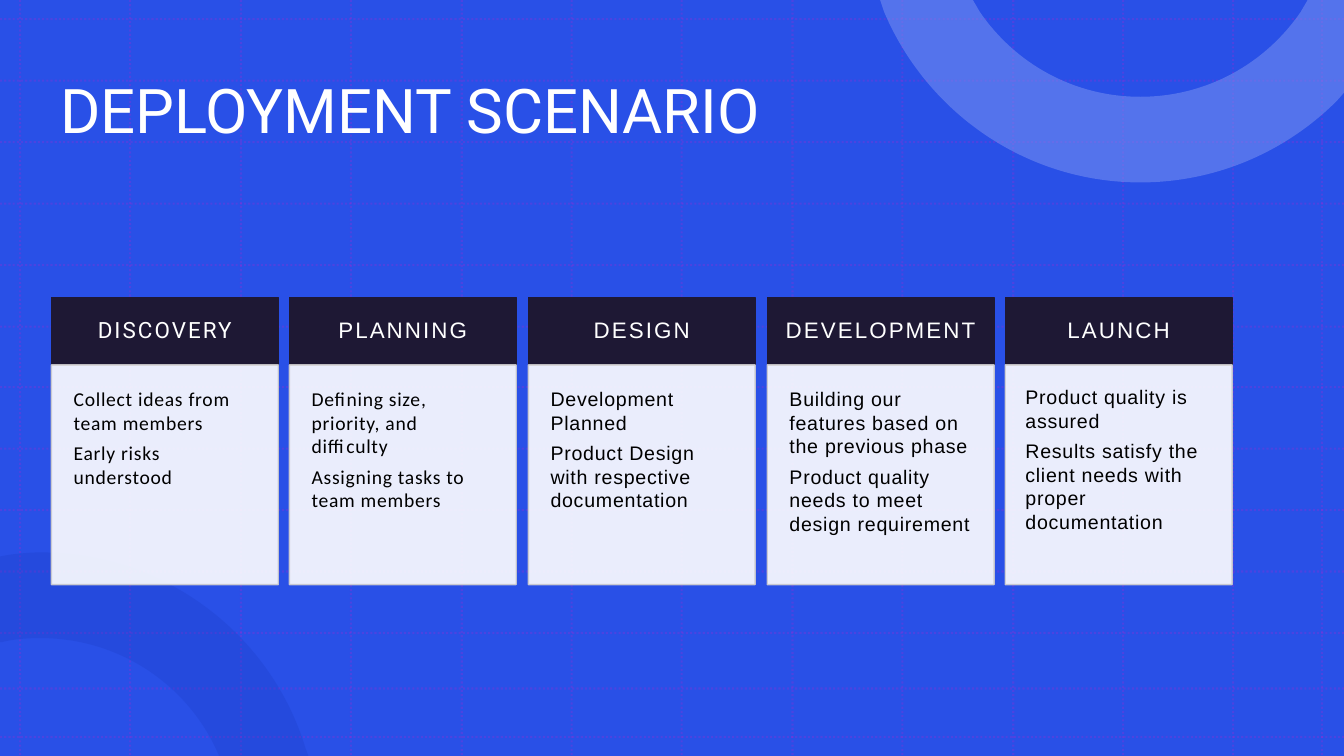
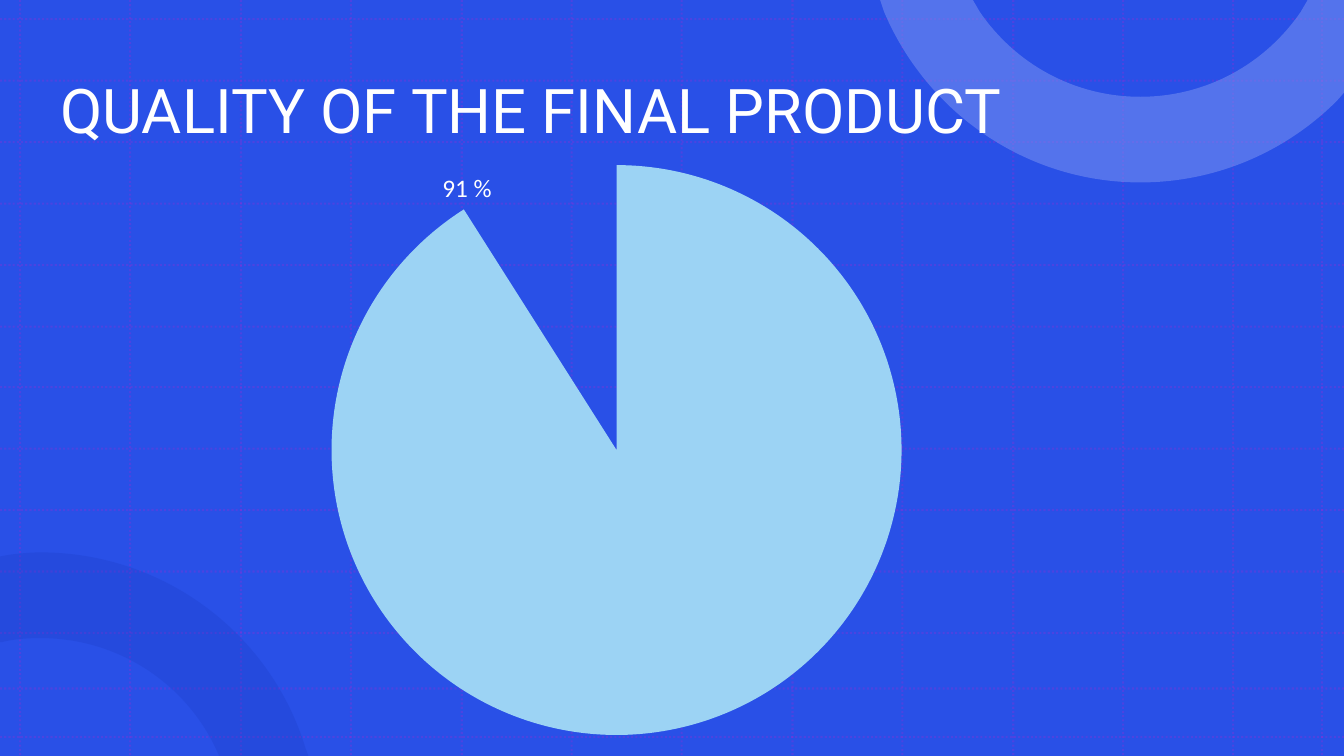
from dataclasses import dataclass
from typing import Any

from lxml.etree import SubElement
from pptx import Presentation
from pptx.chart.data import CategoryChartData
from pptx.dml.color import RGBColor
from pptx.enum.chart import XL_CHART_TYPE
from pptx.enum.dml import MSO_LINE
from pptx.enum.shapes import MSO_CONNECTOR, MSO_SHAPE
from pptx.enum.text import MSO_ANCHOR, MSO_AUTO_SIZE, PP_ALIGN
from pptx.oxml.ns import qn
from pptx.util import Emu, Pt

PX = 9144  # EMU per px, 100 px to the inch
WIDTH, HEIGHT = 1333, 750

COLORS = {
    "background": "2950E7",
    "grid": "D517CC",
    "dark_ring": "1536B7",
    "light_ring": "7F96F1",
    "header": "1E1834",
    "border": "CDCCCE",
    "white": "FFFFFF",
    "black": "000000",
    "pie": "9CD3F4",
}


@dataclass(frozen=True)
class TextStyle:
    font: str
    size: int
    color: str
    tracking: int = 0  # hundredths of a point


@dataclass(frozen=True)
class Ring:
    color: str
    opacity: int
    start: tuple[int, int]
    steps: tuple[tuple[int, ...], ...]  # two numbers: line, six: curve


@dataclass(frozen=True)
class Phase:
    name: str
    points: tuple[str, ...]
    header_font: str = "Arial"
    body_font: str = "Arial"
    inset: int = 22


TITLE = TextStyle("Roboto", 44, "white")
RINGS = (
    Ring("dark_ring", 20, (40, 548), (
        (164, 548, 269, 630, 303, 742), (306, 750), (217, 750), (217, 749),
        (188, 681, 120, 633, 40, 633), (27, 633, 14, 634, 2, 637),
        (0, 637), (0, 552), (12, 550), (21, 549, 31, 548, 40, 548))),
    Ring("light_ring", 50, (873, 0), (
        (965, 0), (972, 12), (1007, 63, 1065, 96, 1131, 96),
        (1197, 96, 1255, 63, 1290, 12), (1297, 0), (1333, 0), (1333, 92),
        (1326, 100), (1276, 150, 1207, 181, 1131, 181),
        (1017, 181, 919, 111, 877, 12))),
)
GRID_X = [round(20 + 109.4 * i) for i in range(12)] + [1311]
GRID_Y = [round(19 + 60.9 * i) for i in range(11)] + [683, 731]

PHASES = (
    Phase("DISCOVERY",
          ("Collect ideas from team members", "Early risks understood"),
          "Roboto", "Calibri"),
    Phase("PLANNING",
          ("Defining size, priority, and difficulty",
           "Assigning tasks to team members"),
          body_font="Calibri"),
    Phase("DESIGN",
          ("Development Planned",
           "Product Design with respective documentation")),
    Phase("DEVELOPMENT",
          ("Building our features based on the previous phase",
           "Product quality needs to meet design requirement")),
    Phase("LAUNCH",
          ("Product quality is assured",
           "Results satisfy the client needs with proper documentation"),
          inset=20),
)


def px(*lengths: int) -> list[Emu]:
    return [Emu(length * PX) for length in lengths]


def apply(target: Any, **values: Any) -> None:
    for name, value in values.items():
        setattr(target, name, value)


def paint(fill: Any, color: str, opacity: int = 100) -> None:
    """Give a solid fill, partly transparent below 100."""
    fill.solid()
    fill.fore_color.rgb = RGBColor.from_string(COLORS[color])
    if opacity < 100:
        color_element = fill._xPr.find(qn("a:solidFill"))[0]
        SubElement(color_element, qn("a:alpha"), val=str(opacity * 1000))


def write(shape: Any, lines: tuple[str, ...], style: TextStyle, inset: int = 10,
          anchor: Any = MSO_ANCHOR.TOP, **paragraph_format: Any) -> None:
    frame = shape.text_frame
    margin = px(inset)[0]
    apply(frame, word_wrap=True, vertical_anchor=anchor, margin_left=margin,
          margin_right=margin, margin_top=margin, margin_bottom=margin)
    for index, line in enumerate(lines):
        para = frame.add_paragraph() if index else frame.paragraphs[0]
        apply(para, **paragraph_format)
        span = para.add_run()
        span.text = line
        apply(span.font, name=style.font, size=Pt(style.size))
        span.font.color.rgb = RGBColor.from_string(COLORS[style.color])
        if style.tracking:
            span.font._element.set("spc", str(style.tracking))


def add_panel(page: Any, place: tuple[int, int, int, int], fill: str,
              border: str = "", opacity: int = 100) -> Any:
    panel = page.shapes.add_shape(MSO_SHAPE.RECTANGLE, *px(*place))
    panel.shadow.inherit = False
    paint(panel.fill, fill, opacity)
    if border:
        panel.line.width = Pt(1)
        paint(panel.line.fill, border, opacity)
    else:
        panel.line.fill.background()
    return panel


# Shared backdrop and title
def draw_grid_line(page: Any, *ends: int) -> None:
    line = page.shapes.add_connector(MSO_CONNECTOR.STRAIGHT, *px(*ends))
    apply(line.line, width=Pt(1.5), dash_style=MSO_LINE.ROUND_DOT)
    paint(line.line.fill, "grid", 20)
    SubElement(line._element.spPr, qn("a:effectLst"))


def draw_ring(page: Any, ring: Ring) -> None:
    """Lay out all points as line segments, then join triples into curves."""
    builder = page.shapes.build_freeform(*px(*ring.start), scale=1.0)
    for step in ring.steps:
        points = [px(*step[i:i + 2]) for i in range(0, len(step), 2)]
        builder.add_line_segments(points, close=False)
    shape = builder.convert_to_shape()
    outline = shape._element.spPr.find(".//" + qn("a:path"))
    segments = iter(outline.findall(qn("a:lnTo")))
    for step in ring.steps:
        first = next(segments)
        if len(step) == 6:
            curve = SubElement(outline, qn("a:cubicBezTo"))
            outline.replace(first, curve)
            curve.append(first[0])
            for _ in range(2):
                control = next(segments)
                curve.append(control[0])
                outline.remove(control)
    SubElement(outline, qn("a:close"))
    shape.shadow.inherit = False
    paint(shape.fill, ring.color, ring.opacity)
    shape.line.fill.background()


def build_backdrop(deck: Any) -> None:
    """Draw the backdrop once and move it to the blank layout."""
    layout = deck.slide_layouts[6]
    for placeholder in list(layout.placeholders):
        layout.shapes._spTree.remove(placeholder._element)
    page = deck.slides[0]
    add_panel(page, (0, 0, WIDTH, HEIGHT), "background")
    for x in GRID_X:
        draw_grid_line(page, x, 0, x, HEIGHT)
    for y in GRID_Y:
        draw_grid_line(page, 0, y, WIDTH, y)
    for ring in RINGS:
        draw_ring(page, ring)
    for shape in list(page.shapes):
        layout.shapes._spTree.append(shape._element)


def add_title(page: Any, title: str) -> None:
    box = page.shapes.add_textbox(*px(50, 40, 1173, 145))
    write(box, (title,), TITLE, anchor=MSO_ANCHOR.MIDDLE, line_spacing=0.9)


# Deployment phases
def draw_phase(page: Any, phase: Phase, left: int) -> None:
    header = add_panel(page, (left, 295, 225, 67), "header", "header")
    write(header, (phase.name,), TextStyle(phase.header_font, 16, "white", 150),
          inset=16, anchor=MSO_ANCHOR.MIDDLE, alignment=PP_ALIGN.CENTER,
          line_spacing=0.9)
    body = add_panel(page, (left, 362, 225, 218), "white", "border", 90)
    write(body, phase.points, TextStyle(phase.body_font, 14, "black", 50),
          inset=phase.inset, alignment=PP_ALIGN.LEFT,
          line_spacing=Pt(16.8), space_after=Pt(5))


# Quality chart
def draw_quality_pie(page: Any) -> None:
    data = CategoryChartData()
    data.categories = ["1", "2", "3", "4"]
    data.add_series("Series 1", (91, 0, 0, 9))
    chart = page.shapes.add_chart(
        XL_CHART_TYPE.PIE, *px(167, 150, 889, 593), data).chart
    apply(chart, has_legend=False, has_title=False)
    apply(chart.font, name="Calibri", size=Pt(10))
    chart.font.color.rgb = RGBColor.from_string(COLORS["black"])
    plot = chart.plots[0]
    plot.vary_by_categories = False
    for index in range(4):
        look = plot.series[0].points[index].format
        look.line.fill.background()
        if index == 0:
            paint(look.fill, "pie")
        else:
            look.fill.background()
    label = page.shapes.add_textbox(*px(429, 166, 107, 40))
    write(label, ("91 %",), TextStyle("Calibri", 18, "white"))
    apply(label.text_frame, margin_top=px(5)[0], margin_bottom=px(5)[0],
          auto_size=MSO_AUTO_SIZE.SHAPE_TO_FIT_TEXT)


def main() -> None:
    deck = Presentation()
    deck.slide_width, deck.slide_height = px(WIDTH, HEIGHT)
    scenario, quality = [
        deck.slides.add_slide(deck.slide_layouts[6]) for _ in range(2)]
    build_backdrop(deck)

    add_title(scenario, "DEPLOYMENT SCENARIO")
    for index, phase in enumerate(PHASES):
        draw_phase(scenario, phase, round(50.8 + 236.6 * index))

    add_title(quality, "QUALITY OF THE FINAL PRODUCT")
    draw_quality_pie(quality)

    deck.save("out.pptx")


if __name__ == "__main__":
    main()
